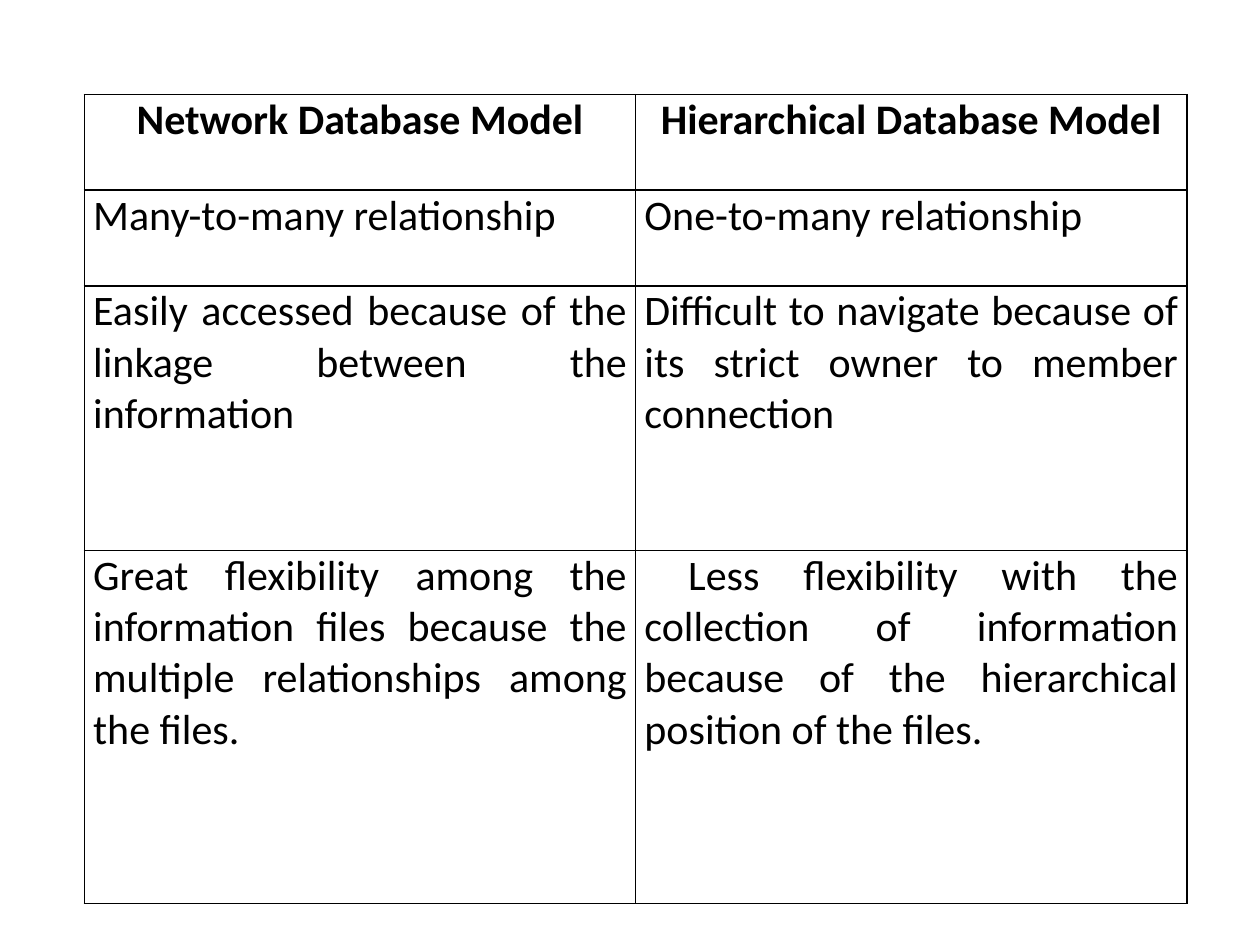
from typing import NamedTuple

from lxml import etree
from pptx import Presentation
from pptx.dml.color import RGBColor
from pptx.enum import text
from pptx.oxml import ns
from pptx.util import Inches, Pt

COLORS = {"ink": "000000", "paper": "FFFFFF"}
FONT = {"name": "Calibri", "size": Pt(24)}
CELL = {
    "margin_left": Inches(0.07),
    "margin_right": Inches(0.07),
    "margin_top": 0,
    "margin_bottom": 0,
    "vertical_anchor": text.MSO_ANCHOR.TOP,
}


class Comparison(NamedTuple):
    height: float
    network: str
    hierarchical: str
    header: bool = False


ROWS = [
    Comparison(0.76, "Network Database Model", "Hierarchical Database Model", True),
    Comparison(0.76, "Many-to-many relationship", "One-to-many relationship"),
    Comparison(
        2.1,
        "Easily accessed because of the linkage between the information",
        "Difficult to navigate because of its strict owner to member connection",
    ),
    Comparison(
        2.8,
        "Great flexibility among the information files because the "
        "multiple relationships among the files.",
        " Less flexibility with the collection of information because of "
        "the hierarchical position of the files.",
    ),
]


def set_format(target, values: dict) -> None:
    for name, value in values.items():
        setattr(target, name, value)


def add_borders(cell) -> None:
    tc_pr = cell._tc.get_or_add_tcPr()
    for side in ("lnL", "lnR", "lnT", "lnB"):
        ln = etree.SubElement(tc_pr, ns.qn(f"a:{side}"), w=str(Pt(1)))
        fill = etree.SubElement(ln, ns.qn("a:solidFill"))
        etree.SubElement(fill, ns.qn("a:srgbClr"), val=COLORS["ink"])


def fill_cell(cell, content: str, header: bool) -> None:
    set_format(cell, CELL)
    add_borders(cell)
    cell.fill.solid()
    cell.fill.fore_color.rgb = RGBColor.from_string(COLORS["paper"])
    p = cell.text_frame.paragraphs[0]
    p.alignment = text.PP_ALIGN.CENTER if header else text.PP_ALIGN.JUSTIFY
    r = p.add_run()
    r.text = content
    set_format(r.font, {**FONT, "bold": header})
    r.font.color.rgb = RGBColor.from_string(COLORS["ink"])


def main() -> None:
    prs = Presentation()
    prs.slide_width, prs.slide_height = Inches(10), Inches(7.5)
    s = prs.slides.add_slide(prs.slide_layouts[6])

    # Comparison table
    table = s.shapes.add_table(
        len(ROWS), 2, Inches(0.67), Inches(0.75), Inches(8.75),
        Inches(sum(row.height for row in ROWS)),
    ).table
    for i, row in enumerate(ROWS):
        table.rows[i].height = Inches(row.height)
        for j, content in enumerate((row.network, row.hierarchical)):
            fill_cell(table.cell(i, j), content, row.header)

    prs.save("out.pptx")


if __name__ == "__main__":
    main()
